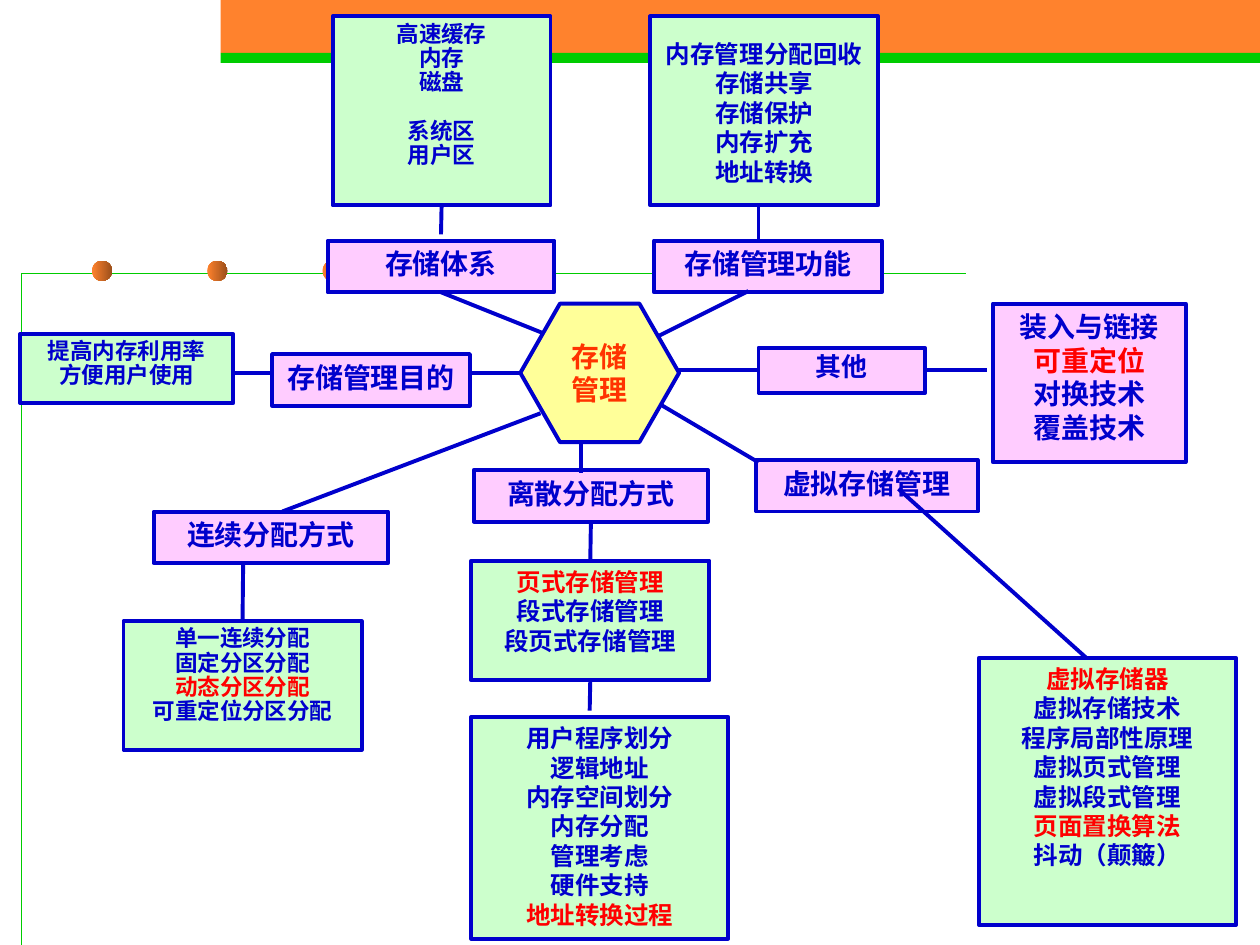
from dataclasses import dataclass

from lxml import etree
from pptx import Presentation
from pptx import util as u
from pptx.dml.color import RGBColor as Rgb
from pptx.enum import shapes, text
from pptx.oxml import ns


@dataclass(frozen=True)
class Theme:
    """Colours, font, type sizes and line widths of the slide."""
    orange: str = "FF822D"
    brown: str = "9B4F1B"
    green: str = "00CC00"
    mint: str = "CCFFCC"
    pink: str = "FFCCFF"
    yellow: str = "FFFF99"
    blue: str = "0000CC"
    red: str = "FF0000"
    scarlet: str = "FF3300"
    font: str = "Times New Roman"
    big: float = 16
    mid: float = 14.8
    body: float = 14
    small: float = 12.9
    tight: float = 0.9
    thin: float = 0.75
    thick: float = 2.25


THEME = Theme()
SHAPE = shapes.MSO_SHAPE

HOT = {"页式存储管理", "虚拟存储器", "页面置换算法", "地址转换过程", "可重定位", "动态分区分配"}

STYLES = {
    "node": (THEME.pink, THEME.big, 1),
    "other": (THEME.pink, THEME.mid, THEME.tight),
    "list": (THEME.mint, THEME.body, 1),
    "small": (THEME.mint, THEME.small, THEME.tight),
}

BOXES = {
    "levels": ("small", (2.64, 0.13, 1.73, 1.5), "高速缓存 内存 磁盘 系统区 用户区"),
    "tasks": ("list", (5.16, 0.13, 1.81, 1.5), "内存管理分配回收 存储共享 存储保护 内存扩充 地址转换"),
    "system": ("node", (2.6, 1.91, 1.8, 0.41), "存储体系"),
    "roles": ("node", (5.19, 1.91, 1.81, 0.41), "存储管理功能"),
    "aims": ("small", (0.16, 2.65, 1.69, 0.55), "提高内存利用率 方便用户使用"),
    "goal": ("node", (2.16, 2.81, 1.57, 0.41), "存储管理目的"),
    "other": ("other", (6.02, 2.76, 1.32, 0.36), "其他"),
    "extras": ("node", (7.88, 2.41, 1.53, 1.26), "装入与链接 可重定位 对换技术 覆盖技术"),
    "split": ("node", (3.76, 3.73, 1.86, 0.41), "离散分配方式"),
    "pages": ("list", (3.74, 4.45, 1.89, 0.95), "页式存储管理 段式存储管理 段页式存储管理"),
    "points": ("list", (3.74, 5.69, 2.04, 1.76),
               "用户程序划分 逻辑地址 内存空间划分 内存分配 管理考虑 硬件支持 地址转换过程"),
    "virtual": ("node", (6, 3.65, 1.76, 0.41), "虚拟存储管理"),
    "topics": ("list", (7.77, 5.22, 2.04, 2.12),
               "虚拟存储器 虚拟存储技术 程序局部性原理 虚拟页式管理 虚拟段式管理 页面置换算法 抖动（颠簸）"),
    "whole": ("node", (1.22, 4.06, 1.86, 0.41), "连续分配方式"),
    "zones": ("small", (0.98, 4.93, 1.89, 1.02), "单一连续分配 固定分区分配 动态分区分配 可重定位分区分配"),
}

LINKS = [
    (("system", 2), (4.45, 2.7)),
    (("levels", 2), (3.5, 1.86)),
    ((6.02, 1.62), (6.02, 1.91)),
    ((5.94, 2.31), (5.16, 2.7)),
    ((5.31, 2.94), ("other", 1)),
    (("other", 3), (7.83, 2.94)),
    ((6.02, 3.67), (5.19, 3.18)),
    ((7.13, 3.88), (8.62, 5.22)),
    ((4.61, 3.75), (4.61, 3.44)),
    (("split", 2), ("pages", 0)),
    (("pages", 2), (4.68, 5.64)),
    ((4.29, 3.28), (2.24, 4.06)),
    ((1.93, 4.46), ("zones", 0)),
    ((4.14, 2.96), (3.73, 2.96)),
    ((2.16, 2.96), (1.85, 2.96)),
]


def draw(slide, kind, at, fill, edge=None):
    """Add a flat preset shape with an optional outline."""
    shape = slide.shapes.add_shape(kind, *map(u.Inches, at))
    shape.shadow.inherit = False
    shape.fill.solid()
    shape.fill.fore_color.rgb = Rgb.from_string(fill)
    if edge:
        ink(shape.line, edge, THEME.thick)
    else:
        shape.line.fill.background()
    return shape


def ink(line, hue, width):
    """Set the colour and width of a line."""
    line.color.rgb = Rgb.from_string(hue)
    line.width = u.Pt(width)


def write(shape, lines, size, hue, pitch=1):
    """Fill a shape with centred bold lines, marking the key ones red."""
    frame = shape.text_frame
    frame.text = "\n".join(lines)
    for para in frame.paragraphs:
        para.alignment = text.PP_ALIGN.CENTER
        para.line_spacing = pitch
        for run in para.runs:
            run.font.name = THEME.font
            run.font.size = u.Pt(size)
            run.font.bold = True
            run.font.color.rgb = Rgb.from_string(THEME.red if run.text in HOT else hue)


def box(slide, style, at, words):
    """Add a bordered box holding one line per word."""
    fill, size, pitch = STYLES[style]
    shape = draw(slide, SHAPE.RECTANGLE, at, fill, THEME.blue)
    shape.text_frame.word_wrap = True
    shape.text_frame.vertical_anchor = text.MSO_ANCHOR.TOP
    write(shape, words.split(), size, THEME.blue, pitch)
    return shape


def spot(end, boxes):
    """Return the point in EMU for a free end or a box side."""
    if not isinstance(end[0], str):
        return [u.Inches(v) for v in end]
    part, side = boxes[end[0]], end[1]
    across, down = ((1, 0), (0, 1), (1, 2), (2, 1))[side]
    return [part.left + part.width * across // 2, part.top + part.height * down // 2]


def link(slide, start, stop, boxes):
    """Draw a straight line and join it to the boxes it names."""
    line = slide.shapes.add_connector(
        shapes.MSO_CONNECTOR.STRAIGHT, *spot(start, boxes), *spot(stop, boxes))
    ink(line.line, THEME.blue, THEME.thick)
    etree.SubElement(line._element.spPr, ns.qn("a:effectLst"))
    for end, join in ((start, line.begin_connect), (stop, line.end_connect)):
        if isinstance(end[0], str):
            join(boxes[end[0]], end[1])


def hub(slide):
    """Add the central hexagon."""
    shape = draw(slide, SHAPE.HEXAGON, (4.13, 2.41, 1.26, 1.1), THEME.yellow, THEME.blue)
    shape.adjustments[0] = 0.286
    shape.text_frame.word_wrap = False
    shape.text_frame.vertical_anchor = text.MSO_ANCHOR.MIDDLE
    write(shape, ["存储", "管理"], THEME.big, THEME.scarlet)


def decor(slide):
    """Add the top bands, the corner line and the three beads."""
    draw(slide, SHAPE.RECTANGLE, (1.75, 0, 8.25, 0.42), THEME.orange)
    draw(slide, SHAPE.RECTANGLE, (1.75, 0.42, 8.25, 0.08), THEME.green)
    pen = slide.shapes.build_freeform(u.Inches(0.17), u.Inches(7.5))
    pen.add_line_segments(
        [(u.Inches(x), u.Inches(y)) for x, y in ((0.17, 2.17), (7.67, 2.17))], close=False)
    frame = pen.convert_to_shape()
    frame.shadow.inherit = False
    frame.fill.background()
    ink(frame.line, THEME.green, THEME.thin)
    for i in range(3):
        bead = draw(slide, SHAPE.OVAL, (0.73 + 0.915 * i, 2.07, 0.16, 0.16), THEME.orange)
        bead.fill.gradient()
        bead.fill.gradient_angle = 0
        for stop, hue in zip(bead.fill.gradient_stops, (THEME.orange, THEME.brown)):
            stop.color.rgb = Rgb.from_string(hue)


def main():
    """Build the storage management map and save it."""
    deck = Presentation()
    deck.slide_width, deck.slide_height = u.Inches(10), u.Inches(7.5)
    slide = deck.slides.add_slide(deck.slide_layouts[6])
    decor(slide)
    boxes = {name: box(slide, *row) for name, row in BOXES.items()}
    boxes["levels"].text_frame.paragraphs[3].space_before = u.Pt(14)
    boxes["tasks"].text_frame.margin_top = u.Inches(0.18)
    for start, stop in LINKS:
        link(slide, start, stop, boxes)
    hub(slide)
    deck.save("out.pptx")


if __name__ == "__main__":
    main()
